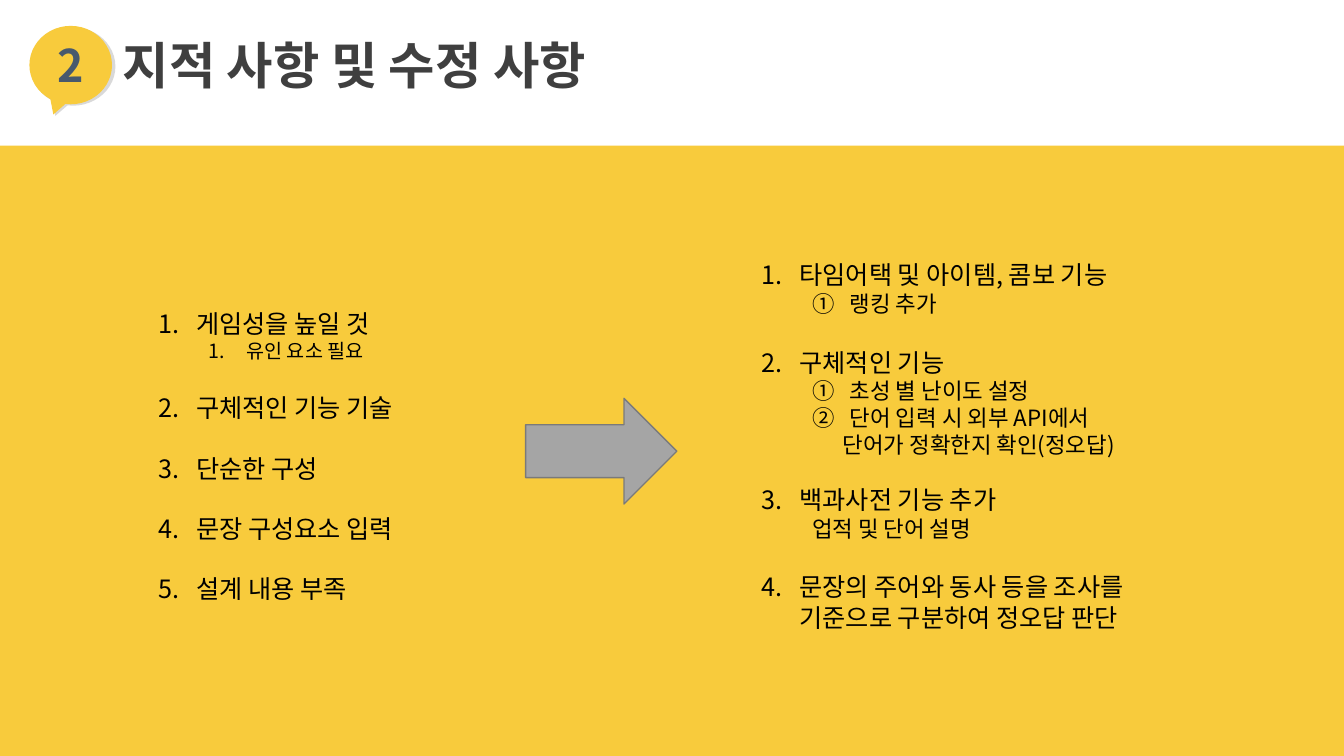
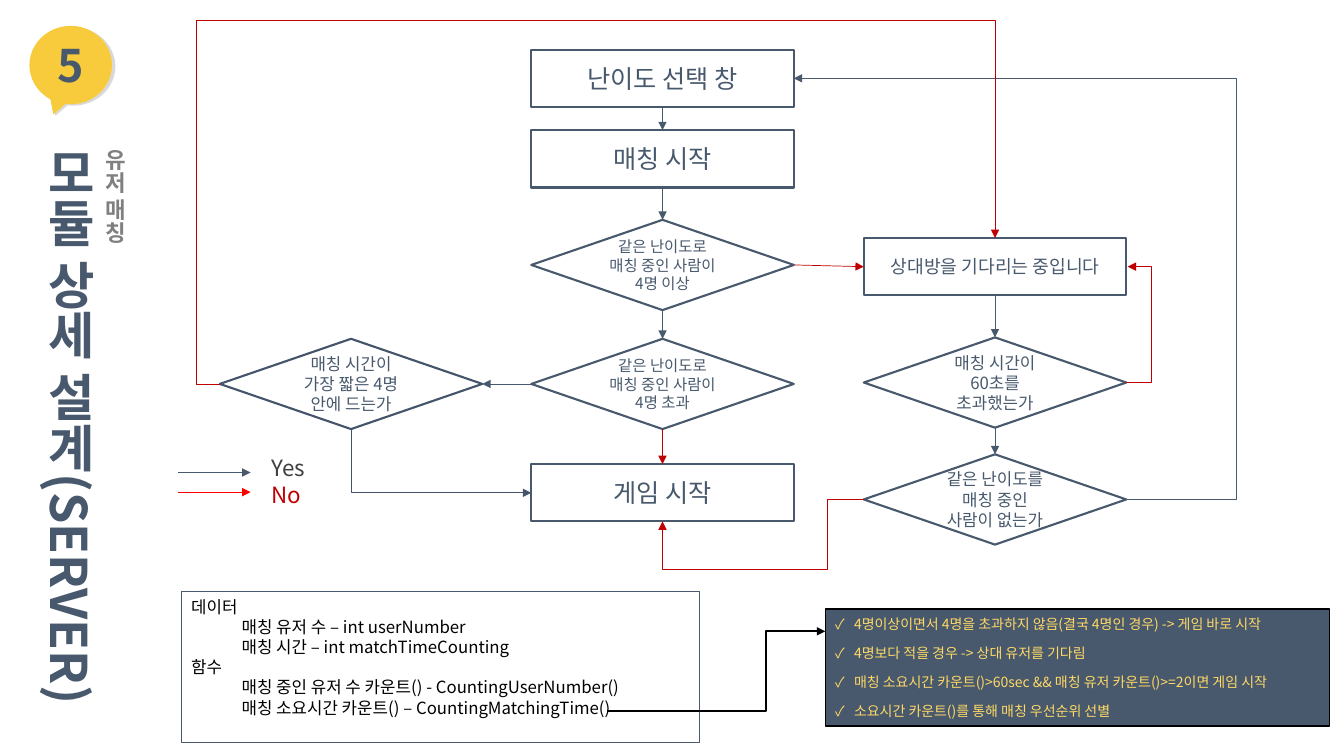
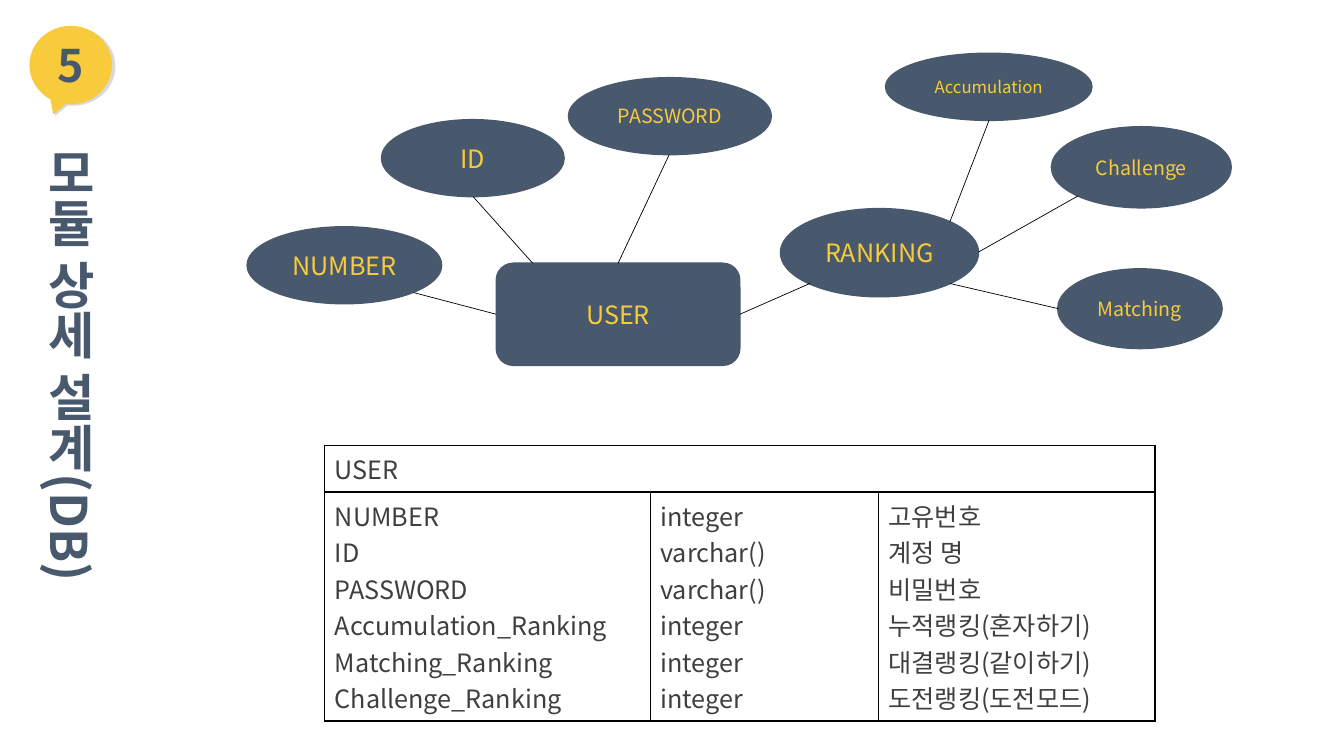
from collections import namedtuple

from lxml.etree import SubElement
from pptx import Presentation
from pptx.dml.color import RGBColor
from pptx.enum.shapes import MSO_CONNECTOR as Link, MSO_SHAPE as Shape
from pptx.enum.text import MSO_ANCHOR as Anchor, MSO_AUTO_SIZE as AutoSize, PP_ALIGN as Align
from pptx.oxml import parse_xml
from pptx.oxml.ns import nsdecls, qn
from pptx.util import Pt

FONT = "Noto Sans CJK KR"
YELLOW = RGBColor(0xF8, 0xCB, 0x3C)
NAVY = RGBColor(0x48, 0x59, 0x6D)
SLATE = RGBColor(0x44, 0x54, 0x6A)
CHARCOAL = RGBColor(0x3F, 0x3F, 0x3F)
GREY = RGBColor(0x80, 0x80, 0x80)
SHADE = RGBColor(0xD9, 0xD9, 0xD9)
ARROW_FILL = RGBColor(0xA5, 0xA5, 0xA5)
ARROW_EDGE = RGBColor(0x7A, 0x7A, 0x7A)
RED = RGBColor(0xC0, 0x00, 0x00)
BRIGHT_RED = RGBColor(0xFF, 0x00, 0x00)
GOLD = RGBColor(0xFF, 0xD9, 0x66)
BLACK = RGBColor(0x00, 0x00, 0x00)

TOP, LEFT, BOTTOM, RIGHT = range(4)
NUMBER = ("a:buAutoNum", "type", "arabicPeriod")
CIRCLED = ("a:buAutoNum", "type", "circleNumDbPlain")
CHECK = ("a:buChar", "char", "✓")

Item = namedtuple("Item", "text size level indent hang mark before", defaults=(18, 0, 27, 27, NUMBER, 0))


def place(box):
    return [Pt(length) for length in box]


def add_run(paragraph, text, size, color, bold=False):
    run = paragraph.add_run()
    run.text = text
    run.font.size = Pt(size)
    run.font.bold = bold
    run.font.color.rgb = color
    run.font.name = FONT
    SubElement(run._r.get_or_add_rPr(), qn("a:ea")).set("typeface", FONT)


def paragraphs_of(frame, count):
    yield frame.paragraphs[0]
    for _ in range(count - 1):
        yield frame.add_paragraph()


def write(frame, lines, size, color, bold=False, align=Align.LEFT):
    for paragraph, line in zip(paragraphs_of(frame, len(lines)), lines):
        paragraph.alignment = align
        add_run(paragraph, line, size, color, bold)


def write_items(frame, items, color, align=Align.LEFT, spacing=1.0, after=0):
    for paragraph, item in zip(paragraphs_of(frame, len(items)), items):
        paragraph.alignment = align
        paragraph.level = item.level
        paragraph.line_spacing = spacing
        paragraph.space_before = Pt(item.before)
        paragraph.space_after = Pt(after)
        properties = paragraph._p.get_or_add_pPr()
        properties.set("marL", str(Pt(item.indent)))
        properties.set("indent", str(-Pt(item.hang)))
        if item.mark:
            tag, key, value = item.mark
            SubElement(properties, qn("a:buFont")).set("typeface", FONT)
            SubElement(properties, qn(tag)).set(key, value)
        add_run(paragraph, item.text, item.size, color)


def add_box(shapes, kind, box, fill=None, edge=None, width=1, anchor=Anchor.MIDDLE):
    shape = shapes.add_shape(kind, *place(box))
    shape.shadow.inherit = False
    if fill is None:
        shape.fill.background()
    else:
        shape.fill.solid()
        shape.fill.fore_color.rgb = fill
    if edge is None:
        shape.line.fill.background()
    else:
        shape.line.color.rgb = edge
        shape.line.width = Pt(width)
    shape.text_frame.vertical_anchor = anchor
    shape.text_frame.word_wrap = True
    return shape


def add_text_box(slide, box):
    frame = slide.shapes.add_textbox(*place(box)).text_frame
    frame.word_wrap = True
    return frame


def add_line(slide, start, end, color, width=0.5, kind=Link.STRAIGHT, arrow="tailEnd"):
    line = slide.shapes.add_connector(kind, *place(start + end))
    line.line.color.rgb = color
    line.line.width = Pt(width)
    if arrow:
        SubElement(line.line._get_or_add_ln(), qn("a:" + arrow)).set("type", "triangle")
    SubElement(line.element.spPr, qn("a:effectLst"))
    return line


def bend(line, preset, *adjustments):
    geometry = line.element.spPr.find(qn("a:prstGeom"))
    geometry.set("prst", preset)
    guides = geometry.find(qn("a:avLst"))
    if guides is None:
        guides = SubElement(geometry, qn("a:avLst"))
    for number, share in enumerate(adjustments, 1):
        guide = SubElement(guides, qn("a:gd"))
        guide.set("name", f"adj{number}")
        guide.set("fmla", f"val {round(share * 100000)}")


def join(slide, source, source_side, target, target_side, color=NAVY, kind=Link.STRAIGHT, arrow="tailEnd"):
    line = add_line(slide, (0, 0), (0, 0), color, kind=kind, arrow=arrow)
    line.begin_connect(source, source_side)
    line.end_connect(target, target_side)
    return line


def add_badge(slide, number, left, top):
    group = slide.shapes.add_group_shape()
    for offset, width, color in ((1, 60.5, SHADE), (0, 59, YELLOW)):
        bubble = add_box(group.shapes, Shape.OVAL_CALLOUT, (left + offset, top + offset, width, 56), color)
        bubble.adjustments[0] = -0.21
        bubble.adjustments[1] = 0.63
    write(bubble.text_frame, [number], 32, NAVY, True, Align.CENTER)


def set_vertical(shape):
    shape.element.txBody.bodyPr.set("vert", "eaVert")


def start_slide(deck, number, title, box, color, vertical):
    slide = deck.slides.add_slide(deck.slide_layouts[5])
    heading = slide.shapes.title
    heading.left, heading.top, heading.width, heading.height = place(box)
    frame = heading.text_frame
    frame.auto_size = AutoSize.NONE
    frame.word_wrap = False
    frame.vertical_anchor = Anchor.TOP
    write(frame, [title], 36, color, True)
    if vertical:
        set_vertical(heading)
    add_badge(slide, number, 21, 18.5)
    return slide


def vertical_slide(deck, title):
    return start_slide(deck, "5", title, (21, 102, 58, 432), NAVY, True)


def revision_panel(slide, box):
    left, top, width, height = box
    add_box(slide.shapes, Shape.RECTANGLE, box, YELLOW)
    remarks = add_text_box(slide, (left + 106, top + 113, 238, 220))
    write_items(remarks, [
        Item("게임성을 높일 것"),
        Item("유인 요소 필요", 14, 1, 63),
        Item("구체적인 기능 기술", before=21.5),
        Item("단순한 구성", before=21.5),
        Item("문장 구성요소 입력", before=21.5),
        Item("설계 내용 부족", before=21.5),
    ], BLACK)
    changes = add_text_box(slide, (left + 537, top + 78, 315, 279))
    write_items(changes, [
        Item("타임어택 및 아이템, 콤보 기능"),
        Item("랭킹 추가", 16, 1, 63, 27, CIRCLED),
        Item("구체적인 기능", before=21.5),
        Item("초성 별 난이도 설정", 16, 1, 63, 27, CIRCLED),
        Item("단어 입력 시 외부 API에서", 16, 1, 63, 27, CIRCLED),
        Item("단어가 정확한지 확인(정오답)", 16, 1, 58, 0, None),
        Item("백과사전 기능 추가", before=19),
        Item("업적 및 단어 설명", 16, 1, 36, 0, None),
        Item("문장의 주어와 동사 등을 조사를 기준으로 구분하여 정오답 판단", before=21.5),
    ], BLACK)
    add_box(slide.shapes, Shape.RIGHT_ARROW, (left + 375.5, top + 180.5, 108, 75.5), ARROW_FILL, ARROW_EDGE)


def flow_chart(slide, left, top):
    short, middle, wide = left + 18, left + 240.5, left + 478

    def step(x, y, text, size=18):
        shape = add_box(slide.shapes, Shape.RECTANGLE, (x, top + y, 187.5, 41), None, NAVY, 1.5)
        write(shape.text_frame, [text], size, NAVY, align=Align.CENTER)
        return shape

    def decision(x, y, lines, size=12, edge=NAVY):
        shape = add_box(slide.shapes, Shape.FLOWCHART_DECISION, (x, top + y, 187.5, 64.5), None, edge, 1.5)
        write(shape.text_frame, lines, size, NAVY, align=Align.CENTER)
        return shape

    select = step(middle, 20.5, "난이도 선택 창")
    match = step(middle, 78, "매칭 시작")
    game = step(middle, 316.5, "게임 시작")
    waiting = step(wide, 155, "상대방을 기다리는 중입니다", 13)
    at_least = decision(middle, 142, ["같은 난이도로 매칭 중인 사람이 4명 이상"], 11)
    more_than = decision(middle, 227, ["같은 난이도로 매칭 중인 사람이 4명 초과"], 11)
    shortest = decision(short, 227, ["매칭 시간이 가장 짧은 4명 안에 드는가"], edge=SLATE)
    timeout = decision(wide, 226, ["매칭 시간이", "60초를", "초과했는가"])
    nobody = decision(wide, 309.5, ["같은 난이도를 매칭 중인 사람이 없는가"])

    for upper, lower, color in (
        (select, match, NAVY), (match, at_least, NAVY), (at_least, more_than, NAVY),
        (more_than, game, RED), (waiting, timeout, NAVY), (timeout, nobody, NAVY),
    ):
        join(slide, upper, BOTTOM, lower, TOP, color)
    join(slide, at_least, RIGHT, waiting, LEFT, RED)
    join(slide, more_than, LEFT, shortest, RIGHT)

    keep_waiting = join(slide, timeout, RIGHT, waiting, RIGHT, RED, Link.ELBOW)
    keep_waiting.end_x += Pt(1)
    bend(keep_waiting, "bentConnector3", 18)
    bend(join(slide, nobody, RIGHT, select, RIGHT, NAVY, Link.ELBOW), "bentConnector3", -0.33)
    bend(join(slide, nobody, LEFT, game, BOTTOM, RED, Link.ELBOW), "bentConnector4", 0.18, 3.19)
    bend(join(slide, shortest, LEFT, waiting, TOP, RED, Link.ELBOW), "bentConnector4", -0.03, 2.49)
    bend(join(slide, game, LEFT, shortest, BOTTOM, SLATE, Link.ELBOW, "headEnd"), "bentConnector2")


def legend(slide, box):
    left, top = box[:2]
    frame = add_text_box(slide, box)
    rows = (("Yes", CHARCOAL, NAVY, 16.5), ("No", RED, BRIGHT_RED, 30.5))
    for paragraph, (label, color, stroke, y) in zip(paragraphs_of(frame, 2), rows):
        paragraph._p.get_or_add_pPr().set("marL", str(Pt(72)))
        add_run(paragraph, label, 16, color)
        add_line(slide, (left + 12, top + y), (left + 64, top + y), stroke, 0.25)


def module_notes(slide, left, top):
    members = add_box(slide.shapes, Shape.RECTANGLE, (left, top, 370, 108), None, NAVY, 0.75, Anchor.TOP)
    write_items(members.text_frame, [
        Item(text, 12, level, 36 * level, 0, None) for level, text in (
            (0, "데이터"),
            (1, "매칭 유저 수 – int userNumber"),
            (1, "매칭 시간 – int matchTimeCounting"),
            (0, "함수"),
            (1, "매칭 중인 유저 수 카운트() - CountingUserNumber()"),
            (1, "매칭 소요시간 카운트() – CountingMatchingTime()"),
        )
    ], BLACK)
    rules = add_box(slide.shapes, Shape.RECTANGLE, (left + 460, top + 12.5, 360, 83.5), NAVY, BLACK, 1, Anchor.TOP)
    write_items(rules.text_frame, [
        Item(text, 10, 2, 13.5, 13.5, CHECK) for text in (
            "4명이상이면서 4명을 초과하지 않음(결국 4명인 경우) -> 게임 바로 시작",
            "4명보다 적을 경우 -> 상대 유저를 기다림",
            "매칭 소요시간 카운트()>60sec && 매칭 유저 카운트()>=2이면 게임 시작",
            "소요시간 카운트()를 통해 매칭 우선순위 선별",
        )
    ], GOLD, Align.JUSTIFY, 1.07, 8)
    pointer = add_line(slide, (left + 304, top + 85.5), (left + 460, top + 28.5), BLACK, 1.5, Link.ELBOW)
    bend(pointer, "bentConnector3", 0.73)


def entity_diagram(slide, left, top):
    nodes = (
        ("USER", Shape.ROUNDED_RECTANGLE, (178, 150, 174, 73), 18),
        ("ID", Shape.OVAL, (96, 47.5, 130.5, 55), 18),
        ("PASSWORD", Shape.OVAL, (229.5, 17.5, 145, 55), 14),
        ("RANKING", Shape.OVAL, (381, 111, 141.5, 63), 18),
        ("NUMBER", Shape.OVAL, (0, 124, 139, 55), 18),
        ("Accumulation", Shape.OVAL, (456, 0, 147.5, 48), 12),
        ("Challenge", Shape.OVAL, (574.5, 52.5, 128.5, 58), 14),
        ("Matching", Shape.OVAL, (579, 154, 117.5, 57), 14),
    )
    for label, kind, (x, y, width, height), size in nodes:
        node = add_box(slide.shapes, kind, (left + x, top + y, width, height), NAVY, NAVY)
        write(node.text_frame, [label], size, YELLOW, align=Align.CENTER)
    ties = (
        (119, 171, 178, 186.5), (161.5, 102.5, 204, 150), (301.5, 72.5, 265, 150), (402, 164.5, 352, 186.5),
        (502, 120.5, 530, 48), (522.5, 142, 593.5, 102), (502, 164.5, 579.5, 182.5),
    )
    for x1, y1, x2, y2 in ties:
        add_line(slide, (left + x1, top + y1), (left + x2, top + y2), BLACK, arrow=None)


def add_borders(cell):
    properties = cell._tc.get_or_add_tcPr()
    for position, side in enumerate(("lnL", "lnR", "lnT", "lnB")):
        properties.insert(position, parse_xml(
            f'<a:{side} {nsdecls("a")} w="{Pt(1)}"><a:solidFill><a:srgbClr val="{BLACK}"/></a:solidFill></a:{side}>'
        ))


def user_table(slide, box):
    fields = (
        ("NUMBER", "integer", "고유번호"),
        ("ID", "varchar()", "계정 명"),
        ("PASSWORD", "varchar()", "비밀번호"),
        ("Accumulation_Ranking", "integer", "누적랭킹(혼자하기)"),
        ("Matching_Ranking", "integer", "대결랭킹(같이하기)"),
        ("Challenge_Ranking", "integer", "도전랭킹(도전모드)"),
    )
    table = slide.shapes.add_table(2, 3, *place(box)).table
    table.first_row = table.horz_banding = False
    for column, width in zip(table.columns, (232.5, 163, 197.5)):
        column.width = Pt(width)
    for row, height in zip(table.rows, (33.5, 163.5)):
        row.height = Pt(height)
    for cell in table.iter_cells():
        cell.fill.background()
        add_borders(cell)
    table.cell(0, 0).merge(table.cell(0, 2))
    write(table.cell(0, 0).text_frame, ["USER"], 18, CHARCOAL)
    for index, lines in enumerate(zip(*fields)):
        write(table.cell(1, index).text_frame, lines, 18, CHARCOAL)


def main():
    deck = Presentation()
    deck.slide_width, deck.slide_height = Pt(960), Pt(540)

    revisions = start_slide(deck, "2", "지적 사항 및 수정 사항", (80.5, 21, 392.5, 51), CHARCOAL, False)
    revision_panel(revisions, (0, 104, 960, 436))

    server = vertical_slide(deck, "모듈 상세 설계(SERVER)")
    topic = server.shapes.add_textbox(*place((60.5, 99.5, 35, 75.5)))
    topic.text_frame.word_wrap = False
    write(topic.text_frame, ["유저 매칭"], 16, GREY, True, Align.CENTER)
    set_vertical(topic)
    flow_chart(server, 139, 15)
    legend(server, (115, 321, 128, 46))
    module_notes(server, 129.5, 422.5)

    database = vertical_slide(deck, "모듈 상세 설계(DB)")
    entity_diagram(database, 176.5, 38)
    user_table(database, (232, 318, 593, 197))

    deck.save("out.pptx")


if __name__ == "__main__":
    main()
